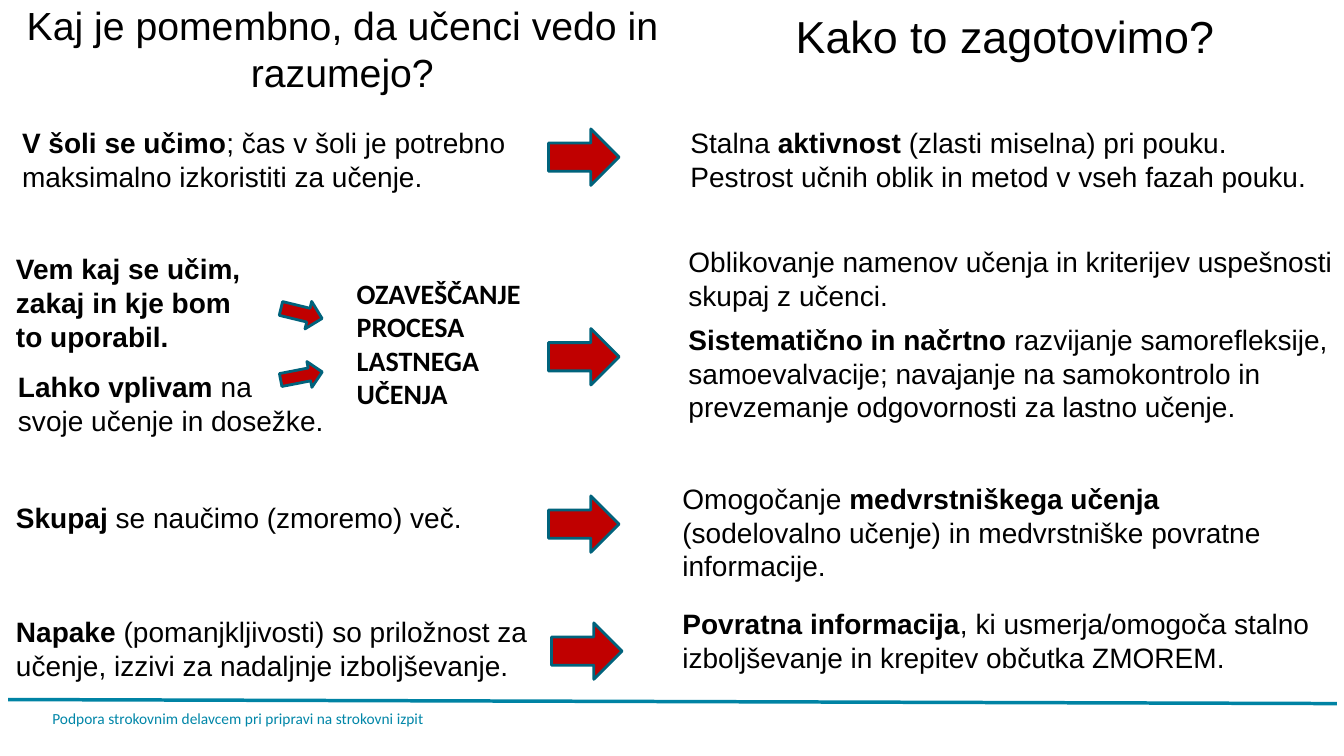
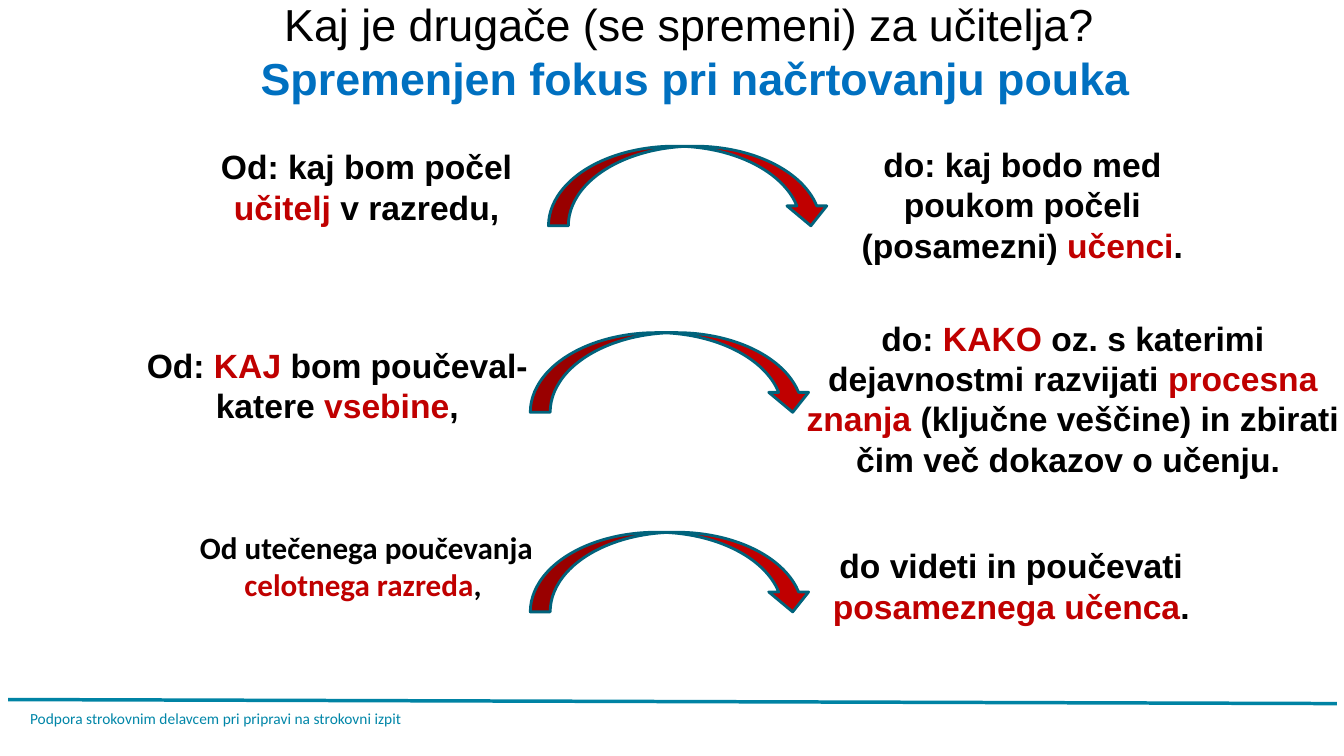
from lxml import etree
from pptx import Presentation
from pptx import util as u
from pptx.dml.color import RGBColor
from pptx.enum import shapes, text
from pptx.oxml.ns import qn

PX = 9144  # 100 px to the inch
BLACK = RGBColor(0x00, 0x00, 0x00)
RED = RGBColor(0xC0, 0x00, 0x00)
BLUE = RGBColor(0x00, 0x70, 0xC0)
ARROW_EDGE = RGBColor(0x00, 0x63, 0x7C)
RULE = RGBColor(0x00, 0x83, 0xA4)
FOOTER = RGBColor(0x00, 0x86, 0xA8)

# Text styles: base format, then what marked (*...*) words change
PLAIN = dict(name="Arial", size=20, bold=False, color=BLACK)
STRONG = dict(bold=True)
HEADING = dict(PLAIN, size=32)
FOCUS = dict(PLAIN, size=24, bold=True)
ACCENT = dict(color=RED)
FOOTER_STYLE = dict(PLAIN, name="Calibri", size=11, color=FOOTER)

LEFT, CENTER = text.PP_ALIGN.LEFT, text.PP_ALIGN.CENTER
FOOTER_TEXT = "Podpora strokovnim delavcem pri pripravi na strokovni izpit"


def px(*lengths):
    return [u.Emu(length * PX) for length in lengths]


def format_font(font, style):
    for key, value in style.items():
        if key == "color":
            font.color.rgb = value
        else:
            setattr(font, key, u.Pt(value) if key == "size" else value)


def add_text(slide, box, wording, style=PLAIN, marked=STRONG, align=LEFT, inset=5):
    """Write one paragraph per line; words between asterisks get the marked style."""
    frame = slide.shapes.add_textbox(*px(*box)).text_frame
    frame.word_wrap = True
    frame.margin_top, frame.margin_bottom = px(inset, inset)
    for number, line in enumerate(wording.split("\n")):
        paragraph = frame.add_paragraph() if number else frame.paragraphs[0]
        paragraph.alignment = align
        for position, words in enumerate(line.split("*")):
            if words:
                run = paragraph.add_run()
                run.text = words
                format_font(run.font, {**style, **(marked if position % 2 else {})})


def add_arrow(slide, preset, box, rotation=0):
    arrow = slide.shapes.add_shape(preset, *px(*box))
    arrow.rotation = rotation
    arrow.shadow.inherit = False
    arrow.fill.solid()
    arrow.fill.fore_color.rgb = RED
    arrow.line.color.rgb = ARROW_EDGE
    arrow.line.width = u.Pt(2)


def add_footer(slide, left):
    rule = slide.shapes.add_connector(
        shapes.MSO_CONNECTOR.STRAIGHT, *px(8, 694, 1326, 698))
    rule.line.color.rgb = RULE
    rule.line.width = u.Pt(2.5)
    etree.SubElement(rule._element.spPr, qn("a:effectLst"))
    add_text(slide, (left, 699, 775, 29), FOOTER_TEXT, FOOTER_STYLE)


def build_goals(slide):
    # Column headings
    add_text(slide, (12, -4, 655, 104), "Kaj je pomembno, da učenci vedo in razumejo?",
             dict(HEADING, size=28), align=CENTER)
    add_text(slide, (686, 4, 622, 64), "Kako to zagotovimo?", HEADING, align=CENTER)

    # What pupils should know
    for box, goal in (
        ((12, 120, 505, 77),
         "*V šoli se učimo*; čas v šoli je potrebno maksimalno izkoristiti za učenje."),
        ((6, 245, 251, 111), "*Vem kaj se učim, zakaj in kje bom to uporabil.*"),
        ((8, 362, 335, 77), "*Lahko vplivam *na\nsvoje učenje in dosežke."),
        ((6, 492, 481, 44), "*Skupaj* se naučimo (zmoremo) več."),
        ((6, 605, 552, 77), "*Napake *(pomanjkljivosti) so priložnost za učenje, "
                            "izzivi za nadaljnje izboljševanje."),
    ):
        add_text(slide, box, goal)
    add_text(slide, (344, 269, 187, 145), "OZAVEŠČANJE PROCESA LASTNEGA UČENJA",
             dict(PLAIN, name="Calibri", bold=True))

    # How it is ensured
    for box, measure in (
        ((675, 120, 633, 77), "Stalna *aktivnost* (zlasti miselna) pri pouku. "
                              "Pestrost učnih oblik in metod v vseh fazah pouku."),
        ((673, 238, 666, 77),
         "Oblikovanje namenov učenja in kriterijev uspešnosti skupaj z učenci."),
        ((673, 315, 666, 145),
         "*Sistematično in načrtno *razvijanje samorefleksije, samoevalvacije; "
         "navajanje na samokontrolo in prevzemanje odgovornosti za lastno učenje."),
        ((667, 473, 647, 111), "Omogočanje *medvrstniškega učenja *(sodelovalno učenje) "
                               "in medvrstniške povratne informacije."),
        ((667, 597, 647, 77), "*Povratna informacija*, ki usmerja/omogoča stalno "
                              "izboljševanje in krepitev občutka ZMOREM."),
    ):
        add_text(slide, box, measure)

    # Arrows from goals to measures, then the two small ones to the process
    right_arrow = shapes.MSO_SHAPE.RIGHT_ARROW
    for left, top in ((544, 128), (544, 326), (544, 492), (547, 618)):
        add_arrow(slide, right_arrow, (left, top, 70, 56))
    add_arrow(slide, right_arrow, (278, 297, 42, 28), 13.7)
    add_arrow(slide, right_arrow, (278, 360, 42, 26), 349)
    add_footer(slide, 42)


def build_focus_shift(slide):
    add_text(slide, (181, -8, 1018, 118),
             "Kaj je drugače (se spremeni) za učitelja? \n"
             "*Spremenjen fokus pri načrtovanju pouka*",
             HEADING, dict(bold=True, color=BLUE), CENTER)

    # Old and new focus of each shift
    for box, focus in (
        ((194, 140, 339, 91), "Od: kaj bom počel *učitelj *v razredu,"),
        ((817, 138, 394, 131), "do: kaj bodo med poukom počeli (posamezni) *učenci*."),
        ((131, 337, 407, 91), "Od: *KAJ* bom poučeval- katere *vsebine*,"),
        ((763, 310, 602, 172), "do: *KAKO* oz. s katerimi dejavnostmi razvijati "
                               "*procesna znanja* (ključne veščine) in zbirati "
                               "čim več dokazov o učenju. "),
        ((806, 536, 394, 91), "do videti in poučevati *posameznega učenca*."),
    ):
        add_text(slide, box, focus, FOCUS, ACCENT, CENTER)
    add_text(slide, (181, 514, 365, 126),
             "Od utečenega poučevanja *celotnega razreda*, ",
             dict(FOCUS, name="Calibri", size=22.2), ACCENT, CENTER, inset=10)

    # Curved arrows
    for left, top in ((544, 145), (526, 330), (526, 528)):
        add_arrow(slide, shapes.MSO_SHAPE.CURVED_DOWN_ARROW, (left, top, 280, 79))
    add_footer(slide, 20)


def main():
    deck = Presentation()
    deck.slide_width, deck.slide_height = px(1333, 750)
    for build in (build_goals, build_focus_shift):
        build(deck.slides.add_slide(deck.slide_layouts[6]))
    deck.save("out.pptx")


if __name__ == "__main__":
    main()
